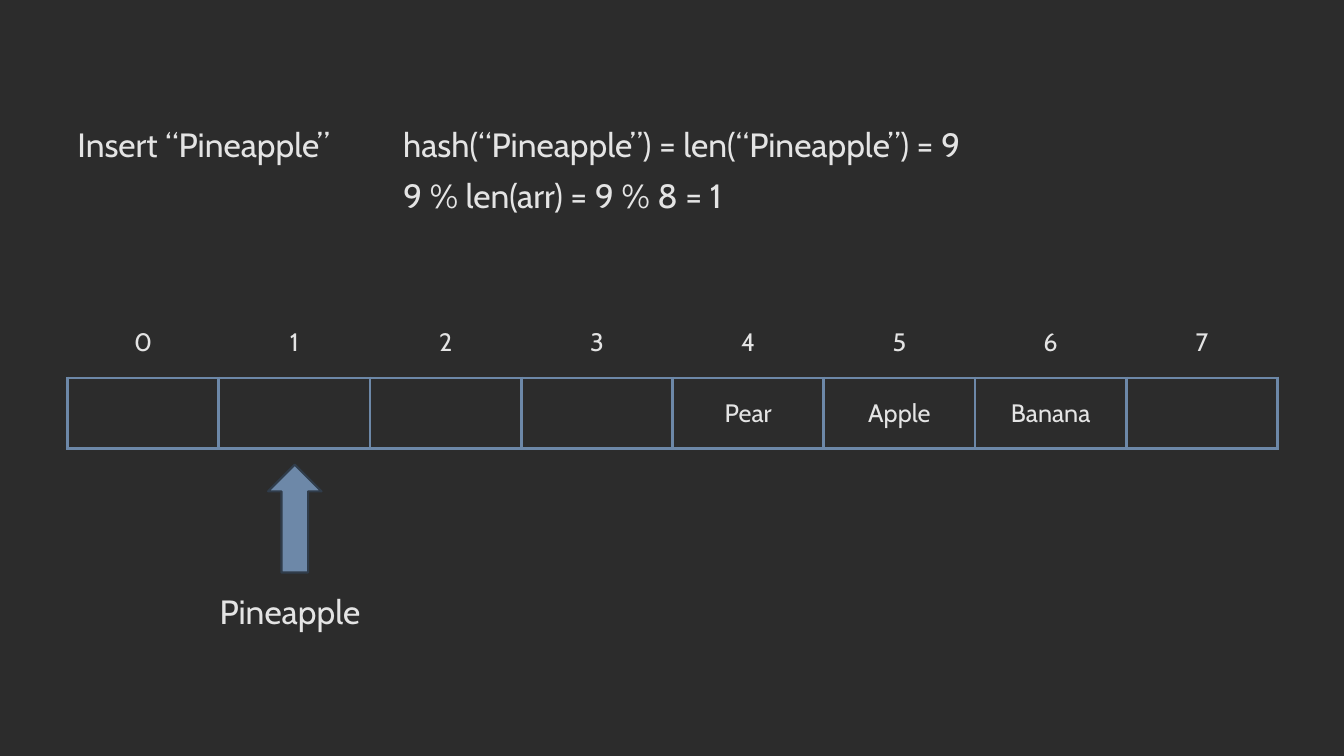
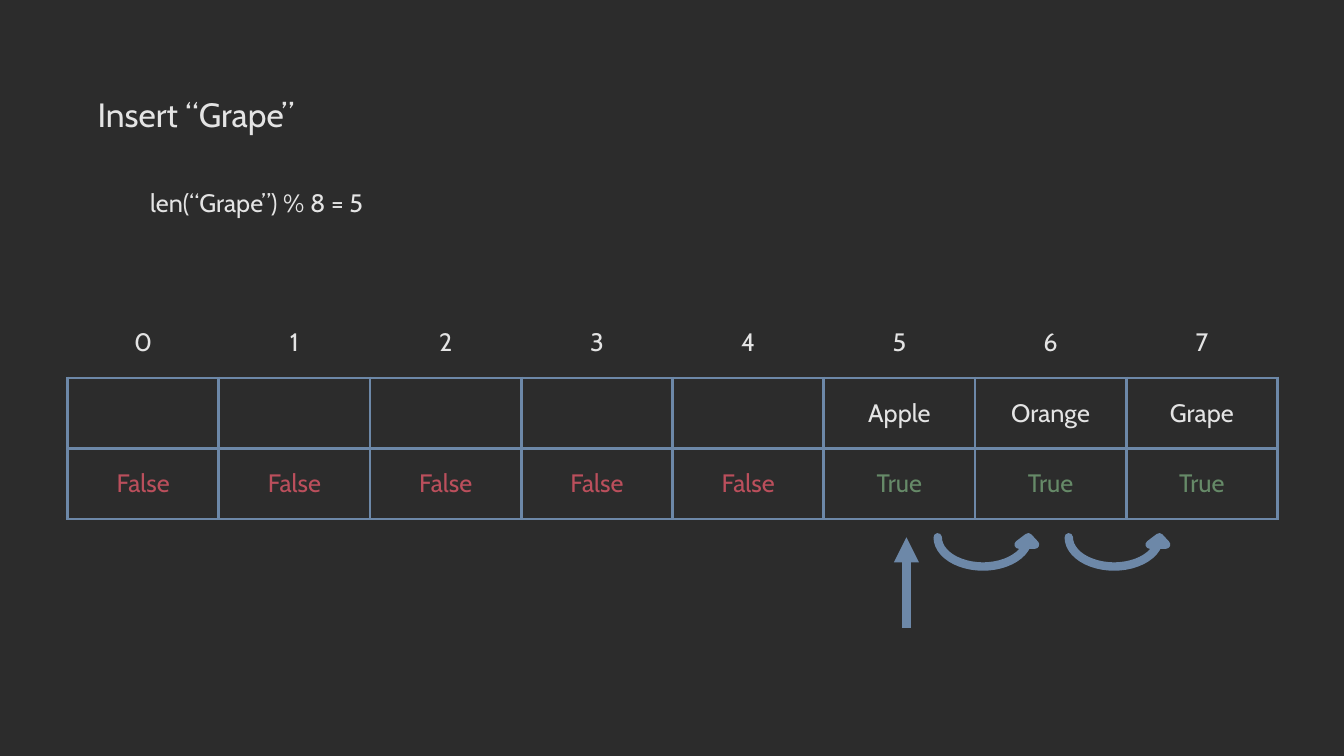
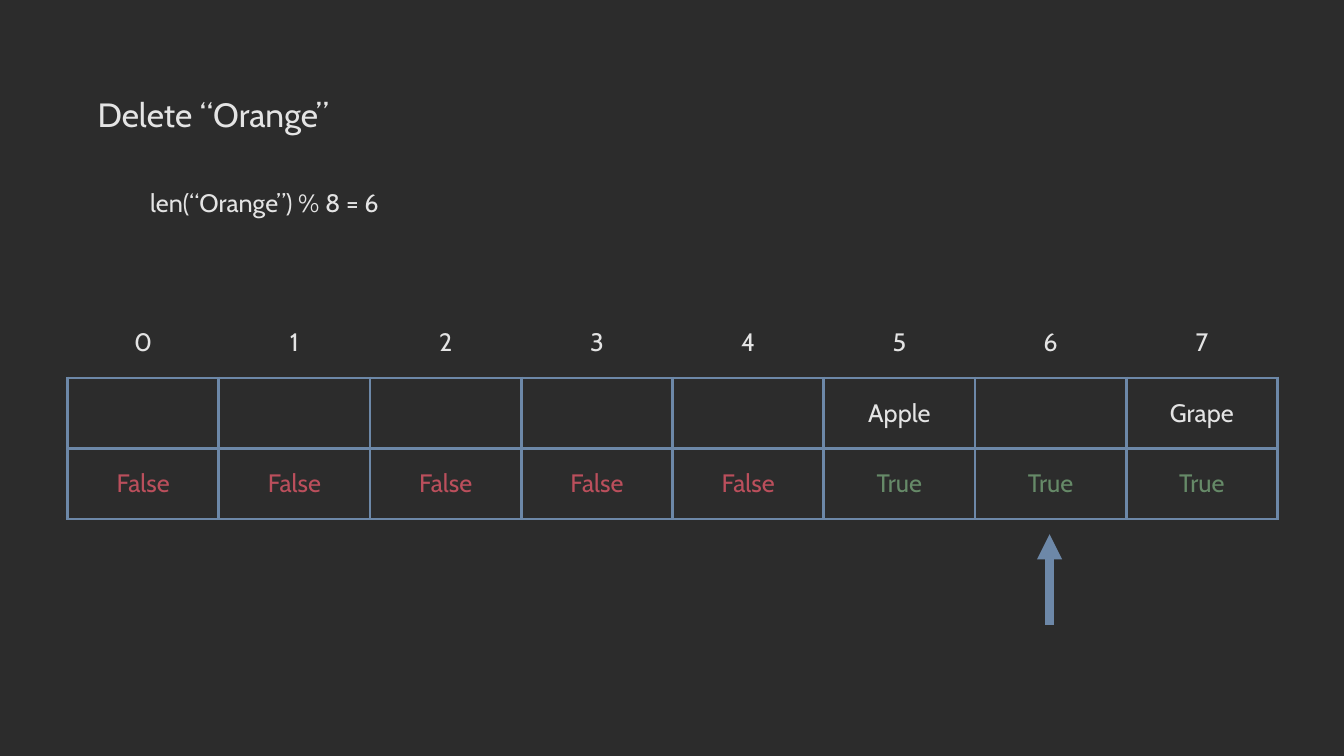
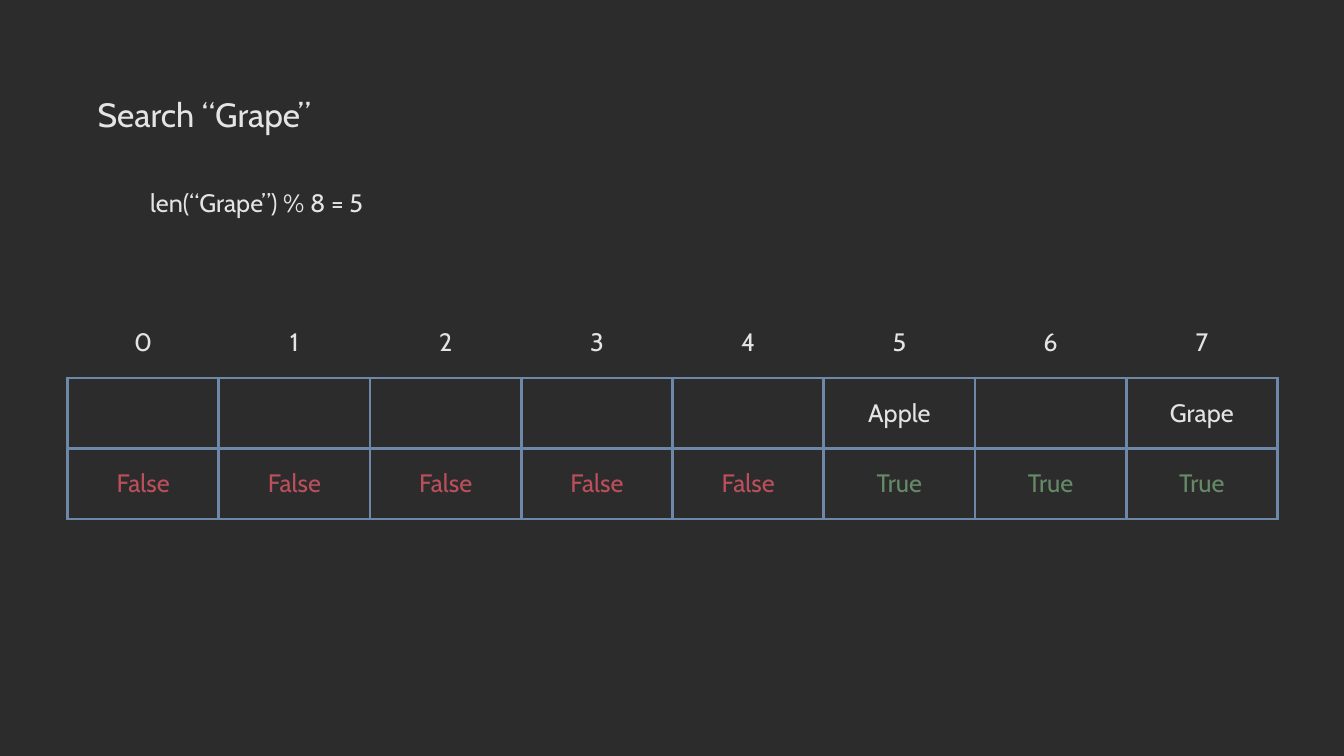
from lxml.etree import SubElement
from pptx import Presentation
from pptx.dml.color import RGBColor
from pptx.enum.shapes import MSO_CONNECTOR, MSO_SHAPE
from pptx.enum.text import MSO_ANCHOR, PP_ALIGN
from pptx.oxml.ns import qn
from pptx.util import Pt

# Shared look
PX = 9144  # EMU per px, 100 px to the inch
FONT = "Cabin"
BACKGROUND = RGBColor(0x2C, 0x2C, 0x2C)
LIGHT = RGBColor(0xE4, 0xE4, 0xE4)
BLUE = RGBColor(0x6D, 0x88, 0xA8)
DARK_BLUE = RGBColor(0x30, 0x3C, 0x4A)
RED = RGBColor(0xBB, 0x4F, 0x5C)
GREEN = RGBColor(0x66, 0x8A, 0x68)
FLAG_COLORS = {"False": RED, "True": GREEN}

# Shared table grid
SLOTS = 8
TABLE_LEFT, TABLE_TOP = 67, 305
CELL_WIDTH, CELL_HEIGHT = 150, 70
BORDER_WIDTH = 2.25
USED_FLAGS = ["False"] * 5 + ["True"] * 3


def px(*lengths):
    return [length * PX for length in lengths]


def write(frame, text, size=24, color=LIGHT, align=PP_ALIGN.LEFT):
    paragraph = frame.paragraphs[0]
    paragraph.alignment = align
    run = paragraph.add_run()
    run.text = text
    run.font.name = FONT
    run.font.size = Pt(size)
    run.font.color.rgb = color


def add_text(slide, text, left, top, width, height=50, **text_format):
    box = slide.shapes.add_textbox(*px(left, top, width, height))
    box.text_frame.word_wrap = True
    write(box.text_frame, text, **text_format)


def set_borders(cell, visible_sides):
    properties = cell._tc.get_or_add_tcPr()
    for side in "LRTB":
        line = SubElement(properties, qn(f"a:ln{side}"), w=str(Pt(BORDER_WIDTH)))
        if side in visible_sides:
            fill = SubElement(line, qn("a:solidFill"))
            SubElement(fill, qn("a:srgbClr"), val=str(BLUE))
        else:
            SubElement(line, qn("a:noFill"))


def add_hash_table(slide, items, flags=None):
    """Index row, item row and, if given, a row of used flags."""
    rows = [[str(index) for index in range(SLOTS)],
            [items.get(index, "") for index in range(SLOTS)]]
    if flags:
        rows.append(flags)
    table = slide.shapes.add_table(
        len(rows), SLOTS, *px(TABLE_LEFT, TABLE_TOP, SLOTS * CELL_WIDTH,
                              len(rows) * CELL_HEIGHT)).table
    table.first_row = table.horz_banding = False
    for row_index, texts in enumerate(rows):
        for column_index, text in enumerate(texts):
            cell = table.cell(row_index, column_index)
            cell.vertical_anchor = MSO_ANCHOR.MIDDLE
            set_borders(cell, "LRTB" if row_index else "B")
            cell.fill.background()
            if text:
                write(cell.text_frame, text, size=18, align=PP_ALIGN.CENTER,
                      color=FLAG_COLORS.get(text, LIGHT))


def add_arrow_shape(slide, kind, left, top, width, height, line_color=BLUE,
                    line_width=6, adjustments=()):
    shape = slide.shapes.add_shape(kind, *px(left, top, width, height))
    shape.shadow.inherit = False
    shape.fill.solid()
    shape.fill.fore_color.rgb = BLUE
    shape.line.color.rgb = line_color
    shape.line.width = Pt(line_width)
    for index, value in enumerate(adjustments):
        shape.adjustments[index] = value


def add_pointer(slide, x, tip, length=90):
    """Line that points upwards, with its arrowhead at the tip."""
    pointer = slide.shapes.add_connector(
        MSO_CONNECTOR.STRAIGHT, *px(x, tip + length, x, tip))
    pointer.line.color.rgb = BLUE
    pointer.line.width = Pt(6)
    SubElement(pointer.line._get_or_add_ln(), qn("a:tailEnd"), type="triangle")
    SubElement(pointer._element.spPr, qn("a:effectLst"))


def add_slide(presentation):
    return presentation.slides.add_slide(presentation.slide_layouts[6])


def add_probing_slide(presentation, title, calculation, items):
    slide = add_slide(presentation)
    add_hash_table(slide, items, USED_FLAGS)
    add_text(slide, title, 87, 88, 260)
    add_text(slide, calculation, 139, 181, 255, 40, size=18)
    return slide


def build_insert_pineapple(presentation):
    slide = add_slide(presentation)
    add_hash_table(slide, {4: "Pear", 5: "Apple", 6: "Banana"})
    add_text(slide, "Insert “Pineapple”", 67, 118, 285)
    add_text(slide, "9 % len(arr) = 9 % 8 = 1", 390, 169, 344)
    add_text(slide, "hash(“Pineapple”) = len(“Pineapple”) = 9", 390, 118, 610)
    add_text(slide, "Pineapple", 208, 581, 166)
    add_arrow_shape(slide, MSO_SHAPE.UP_ARROW, 266, 461, 53, 107,
                    line_color=DARK_BLUE, line_width=1.5)


def build_insert_grape(presentation):
    slide = add_probing_slide(
        presentation, "Insert “Grape”", "len(“Grape”) % 8 = 5",
        {5: "Apple", 6: "Orange", 7: "Grape"})
    add_pointer(slide, 899, 533)
    for left in (930, 1060):  # probes to the next slots
        add_arrow_shape(slide, MSO_SHAPE.CURVED_UP_ARROW, left, 533, 98, 29,
                        adjustments=(0, 0.56, 0.25))


def build_delete_orange(presentation):
    slide = add_probing_slide(
        presentation, "Delete “Orange”", "len(“Orange”) % 8 = 6",
        {5: "Apple", 7: "Grape"})
    add_pointer(slide, 1041, 530)


def build_search_grape(presentation):
    add_probing_slide(
        presentation, "Search “Grape”", "len(“Grape”) % 8 = 5",
        {5: "Apple", 7: "Grape"})


def main():
    presentation = Presentation()
    presentation.slide_width, presentation.slide_height = px(1333, 750)
    background = presentation.slide_master.background.fill
    background.solid()
    background.fore_color.rgb = BACKGROUND

    build_insert_pineapple(presentation)
    build_insert_grape(presentation)
    build_delete_orange(presentation)
    build_search_grape(presentation)
    presentation.save("out.pptx")


if __name__ == "__main__":
    main()
